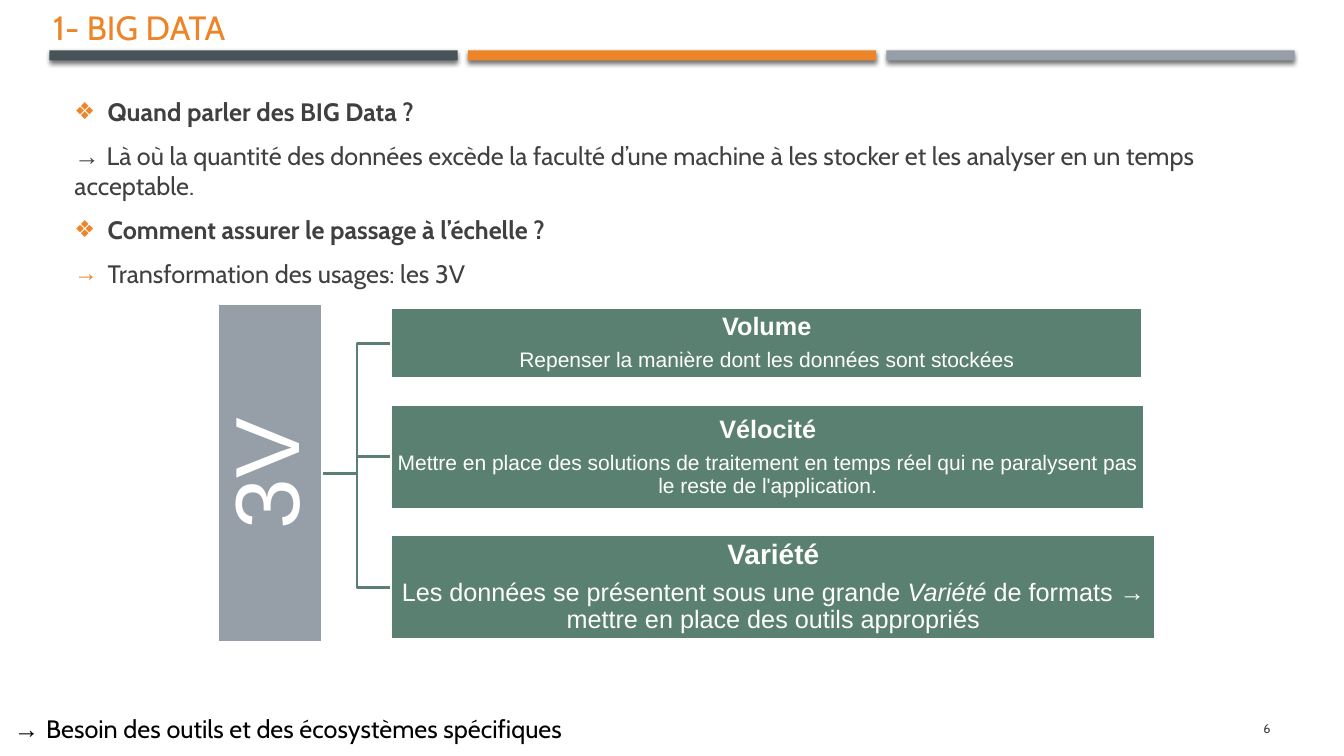
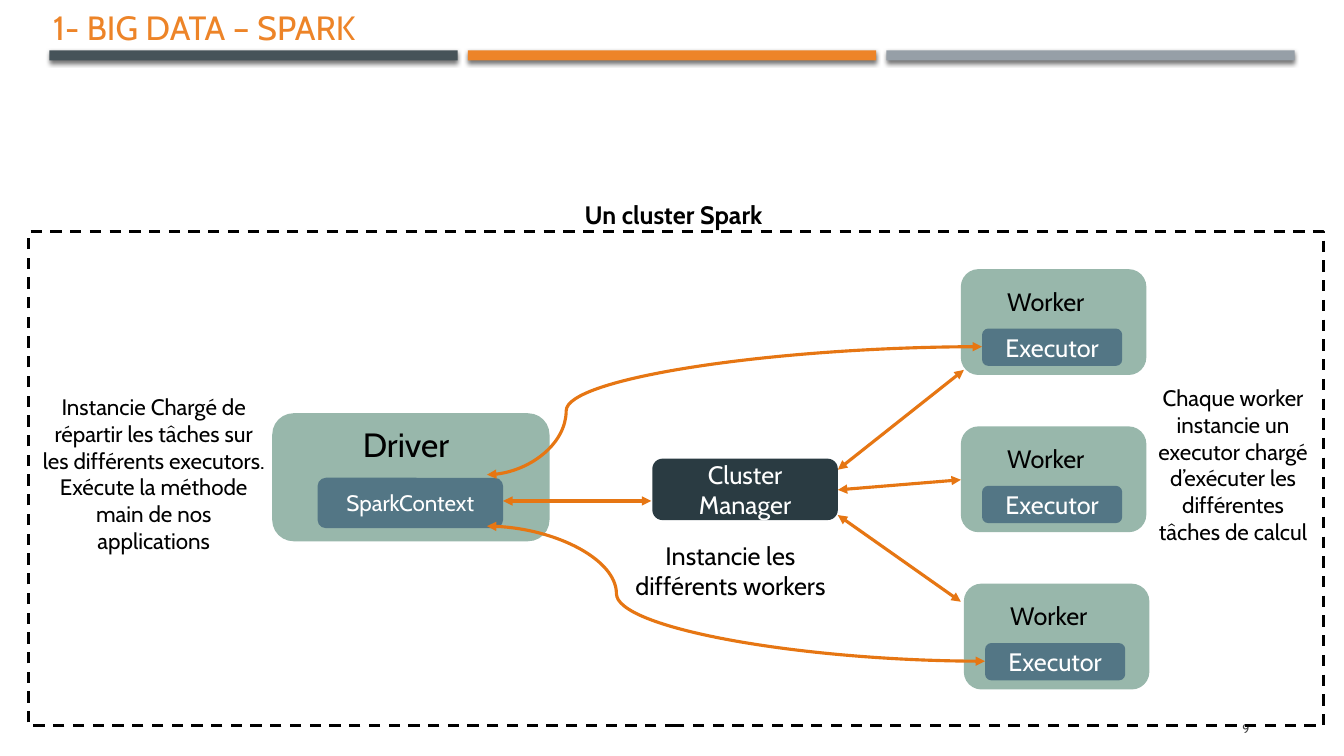
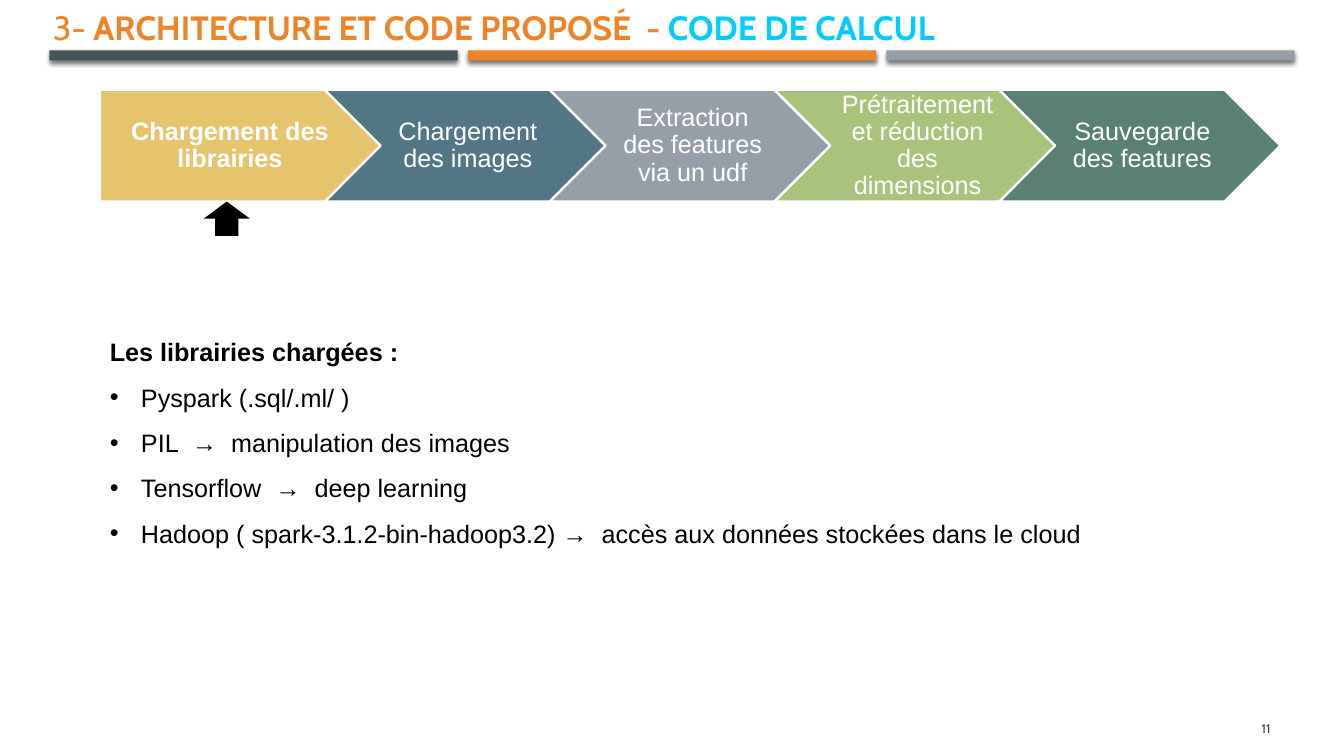
import pptx
import pptx.util
import pptx.dml.color
import pptx.enum.dml
import pptx.enum.shapes
import pptx.enum.text
import pptx.oxml
from pptx.oxml.ns import qn, nsdecls

Inches, Pt = pptx.util.Inches, pptx.util.Pt
SHAPE = pptx.enum.shapes.MSO_SHAPE
LINK = pptx.enum.shapes.MSO_CONNECTOR
ANCHOR = pptx.enum.text.MSO_ANCHOR
ALIGN = pptx.enum.text.PP_ALIGN
DASH = pptx.enum.dml.MSO_LINE.DASH

COLORS = {
    "slate": "465359", "orange": "ED8428", "gray": "969FA7", "text": "404040",
    "green": "5A8071", "sage": "98B7AB", "blue": "537685", "navy": "2A3B42",
    "arrow": "E67613", "gold": "E6C46D", "lime": "A9C37C", "cyan": "00CCFF",
    "white": "FFFFFF", "black": "000000",
}


def rgb(name):
    return pptx.dml.color.RGBColor.from_string(COLORS[name])


def add_xml(parent, xml):
    """Append a drawing element, given without its namespace."""
    tag, rest = xml[1:].split(" ", 1)
    parent.append(pptx.oxml.parse_xml(f"<a:{tag} {nsdecls('a')} {rest}"))


def para(*runs, **fmt):
    """A paragraph: runs are strings or (string, font values) pairs."""
    return [r if isinstance(r, tuple) else (r, {}) for r in runs], fmt


class Deck:
    base = {"name": "Cabin", "size": 18, "bold": False, "italic": False, "color": "black"}

    def __init__(self):
        self.prs = pptx.Presentation()
        self.prs.slide_width, self.prs.slide_height = Inches(13.33), Inches(7.5)

    def slide(self, title, number, number_left=11.55):
        """Start a slide with its colour bands, title and number."""
        self.s = self.prs.slides.add_slide(self.prs.slide_layouts[6])
        for i, color in enumerate(("slate", "orange", "gray")):
            band = self.shape(SHAPE.RECTANGLE, (0.49 + 4.15 * i, 0.5, 4.05, 0.1), color)
            add_xml(band._element.spPr.find(qn("a:effectLst")),
                    '<outerShdw blurRad="38100" dist="25400" dir="5400000">'
                    '<a:srgbClr val="000000"><a:alpha val="55000"/></a:srgbClr></a:outerShdw>')
        self.text((0.43, 0.02, 11.5, 0.5), [title], anchor=ANCHOR.BOTTOM,
                  size=24, color="orange")
        self.text((number_left, 7.03, 1.15, 0.4), [para(str(number), alignment=ALIGN.RIGHT)],
                  anchor=ANCHOR.MIDDLE, size=9, color="text")

    def shape(self, kind, at, fill=None, line=None, width=1.75, adj=()):
        sp = self.s.shapes.add_shape(kind, *map(Inches, at))
        sp.shadow.inherit = False
        for part, color in ((sp.fill, fill), (sp.line.fill, line)):
            if color:
                part.solid()
                part.fore_color.rgb = rgb(color)
            else:
                part.background()
        if line:
            sp.line.width = Pt(width)
        for i, value in enumerate(adj):
            sp.adjustments[i] = value
        return sp

    def text(self, at, paras, **fmt):
        sp = self.s.shapes.add_textbox(*map(Inches, at))
        self.set_text(sp, paras, **fmt)

    def set_text(self, sp, paras, anchor=ANCHOR.TOP, ins=(0.1, 0.05, 0.1, 0.05), **font):
        tf = sp.text_frame
        tf.word_wrap, tf.vertical_anchor = True, anchor
        for side, gap in zip(("left", "top", "right", "bottom"), ins):
            setattr(tf, "margin_" + side, Inches(gap))
        for i, (runs, fmt) in enumerate(paras):
            p = tf.paragraphs[0] if i == 0 else tf.add_paragraph()
            fmt = dict(fmt)
            bullet = fmt.pop("bullet", None)
            for key, value in fmt.items():
                setattr(p, key, value)
            if bullet:
                self.bullet(p, *bullet)
            for words, over in runs:
                r = p.add_run()
                r.text = words
                values = {**self.base, **font, **over}
                r.font.color.rgb = rgb(values.pop("color"))
                values["size"] = Pt(values["size"])
                for key, value in values.items():
                    setattr(r.font, key, value)

    def bullet(self, p, char, color, percent, indent):
        pPr = p._p.get_or_add_pPr()
        pPr.set("marL", str(Inches(indent)))
        pPr.set("indent", str(Inches(-indent)))
        add_xml(pPr, f'<buClr ><a:srgbClr val="{COLORS[color]}"/></a:buClr>')
        add_xml(pPr, f'<buSzPct val="{percent * 1000}"/>')
        add_xml(pPr, '<buFont typeface="Arial"/>')
        add_xml(pPr, f'<buChar char="{char}"/>')

    def box(self, kind, at, fill, paras, line=None, **fmt):
        """A filled shape with centred white text."""
        sp = self.shape(kind, at, fill, line)
        paras = [(runs, {"alignment": ALIGN.CENTER, **f}) for runs, f in paras]
        self.set_text(sp, paras, anchor=ANCHOR.MIDDLE, **{"color": "white", **fmt})
        return sp

    def link(self, kind, start, end, color, width, arrows=False, bend=None):
        cx = self.s.shapes.add_connector(kind, *map(Inches, start + end))
        cx.line.color.rgb, cx.line.width = rgb(color), Pt(width)
        spPr = cx._element.spPr
        if arrows:
            for tip in ("headEnd", "tailEnd"):
                add_xml(spPr.find(qn("a:ln")), f'<{tip} type="triangle"/>')
        if bend:
            geom = spPr.find(qn("a:prstGeom"))
            for old in list(geom):
                geom.remove(old)
            add_xml(geom, f'<avLst ><a:gd name="adj1" fmla="val {round(bend * 100000)}"/></a:avLst>')
        add_xml(spPr, "<effectLst />")


def big_data(d):
    d.slide(para("1- BIG DATA"), 6)
    arrow = ("→ ", {"name": "Arial"})

    # Questions
    gaps = {"space_before": Pt(3.6), "space_after": Pt(6)}
    diamond, point = [(c, "orange", 92, 0.33) for c in "❖→"]
    d.text((0.64, 0.91, 12.06, 2.1), [
        para(("Quand parler des BIG Data ?", {"bold": True}), bullet=diamond, **gaps),
        para(arrow, "Là où la quantité des données excède la faculté d’une machine à les "
             "stocker et les analyser en un temps acceptable.", **gaps),
        para(("Comment assurer le passage à l’échelle ?", {"bold": True}), bullet=diamond, **gaps),
        para("Transformation des usages: les 3V", bullet=point, **gaps),
    ], color="text")

    # Tree of the three V
    branches = [
        ((3.05, 7.45, 0.7), 3.41, "Volume", 18, 15,
         ["Repenser la manière dont les données sont stockées"]),
        ((4.02, 7.47, 1.03), 4.53, "Vélocité", 18, 15,
         ["Mettre en place des solutions de traitement en temps réel qui ne paralysent pas "
          "le reste de l'application."]),
        ((5.31, 7.58, 1.03), 5.83, "Variété", 20, 18,
         ["Les données se présentent sous une grande ", ("Variété", {"italic": True}),
          " de formats → mettre en place des outils appropriés"]),
    ]
    for (top, width, height), y, name, big, small, body in branches:
        d.link(LINK.ELBOW, (3.2, 4.7), (3.88, y), "green", 1.75)
        d.box(SHAPE.RECTANGLE, (3.88, top, width, height), "green", [
            para((name, {"size": big, "bold": True}), line_spacing=0.9,
                 space_after=Pt(0.35 * big)),
            para(*body, line_spacing=0.9),
        ], line="white", ins=(0.01,) * 4, name="Arial", size=small)
    root = d.box(SHAPE.RECTANGLE, (1, 4.18, 3.36, 1.03), "gray",
                 [para("3V", line_spacing=0.9)], line="white", ins=(0.05,) * 4,
                 name="Arial", size=65)
    root.rotation = 270

    # Conclusion
    d.text((0.04, 7.03, 6.65, 0.4),
           [para(arrow, "Besoin des outils et des écosystèmes spécifiques")])


def spark(d):
    d.slide(para("1- BIG DATA – SPARK"), 9, number_left=11.34)
    rounded = SHAPE.ROUNDED_RECTANGLE

    # Driver, workers and manager
    d.shape(rounded, (2.7, 4.1, 2.75, 1.27), "sage")
    d.text((3.5, 4.16, 1.22, 0.5), [para("Driver")], size=24)
    d.box(rounded, (3.15, 4.74, 1.84, 0.5), "blue", [para("SparkContext")], size=16)
    for x, y in ((9.53, 2.67), (9.53, 4.23), (9.56, 5.79)):
        d.shape(rounded, (x, y, 1.84, 1.05), "sage")
        d.box(rounded, (x + 0.21, y + 0.59, 1.39, 0.37), "blue", [para("Executor")])
        d.text((x + 0.36, y + 0.12, 1.08, 0.4), [para("Worker")])
    d.box(rounded, (6.47, 4.55, 1.84, 0.61), "navy", [para("Cluster Manager")])

    # Cluster frame
    frame = d.shape(SHAPE.RECTANGLE, (0.28, 2.3, 12.85, 4.9), line="black", width=2)
    frame.line.dash_style = DASH
    d.text((5.7, 1.93, 2.54, 0.4), [para("Un cluster Spark")], bold=True)

    # Exchanges
    for start, end, bend in (
        ((4.83, 4.71), (9.74, 3.44), 0.16),
        ((4.83, 5.22), (9.77, 6.56), 0.26),
        ((4.99, 4.97), (6.46, 4.97), None),
        ((8.31, 4.66), (9.56, 3.67), None),
        ((8.31, 4.86), (9.53, 4.76), None),
        ((8.31, 5.11), (9.53, 5.97), None),
    ):
        d.link(LINK.CURVE if bend else LINK.STRAIGHT, start, end, "arrow", 2.25, True, bend)

    # Roles
    for at, size, words in (
        ((0.29, 3.85, 2.47, 1.7), 16, "Instancie Chargé de répartir les tâches sur les différents "
         "executors. Exécute la méthode main de nos applications"),
        ((11.3, 3.76, 1.86, 2.49), 16, "Chaque worker instancie un executor chargé d’exécuter "
         "les différentes tâches de calcul"),
        ((6.01, 5.31, 2.47, 0.7), 18, "Instancie les différents workers"),
    ):
        d.text(at, [para(words, alignment=ALIGN.CENTER)], size=size)


def libraries(d):
    d.slide(para("3- ", ("ARCHITECTURE ET CODE PROPOSÉ  - ", {"bold": True}),
                 ("CODE DE CALCUL", {"bold": True, "color": "cyan"})), 11)

    # Steps, with the current one in bold
    steps = [
        ("Chargement des librairies", "gold"),
        ("Chargement des images", "blue"),
        ("Extraction des features via un udf", "gray"),
        ("Prétraitement et réduction des dimensions", "lime"),
        ("Sauvegarde des features", "green"),
    ]
    for i, (words, color) in enumerate(steps):
        first = i == 0
        d.box(SHAPE.PENTAGON if first else SHAPE.CHEVRON, (0.99 + 2.23 * i, 0.89, 2.79, 1.11),
              color, [para(words, line_spacing=0.9)], line="white",
              ins=(0.1 if first else 0.08, 0.05, 0.03, 0.05), name="Arial", bold=first)
    d.shape(SHAPE.UP_ARROW, (2.02, 2, 0.46, 0.34), "black", adj=(0.5, 0.5))

    # Libraries
    names = [
        "Pyspark (.sql/.ml/ )",
        "PIL  →  manipulation des images",
        "Tensorflow  →  deep learning",
        "Hadoop ( spark-3.1.2-bin-hadoop3.2) →  accès aux données stockées dans le cloud",
    ]
    heading = para(("Les librairies chargées :", {"bold": True}), line_spacing=1.5)
    d.text((0.99, 3.14, 10.21, 2.35),
           [heading] + [para(n, line_spacing=1.5, bullet=("•", "black", 100, 0.31)) for n in names],
           anchor=ANCHOR.MIDDLE, name="Arial")


def main():
    d = Deck()
    for build in (big_data, spark, libraries):
        build(d)
    d.prs.save("out.pptx")


if __name__ == "__main__":
    main()
